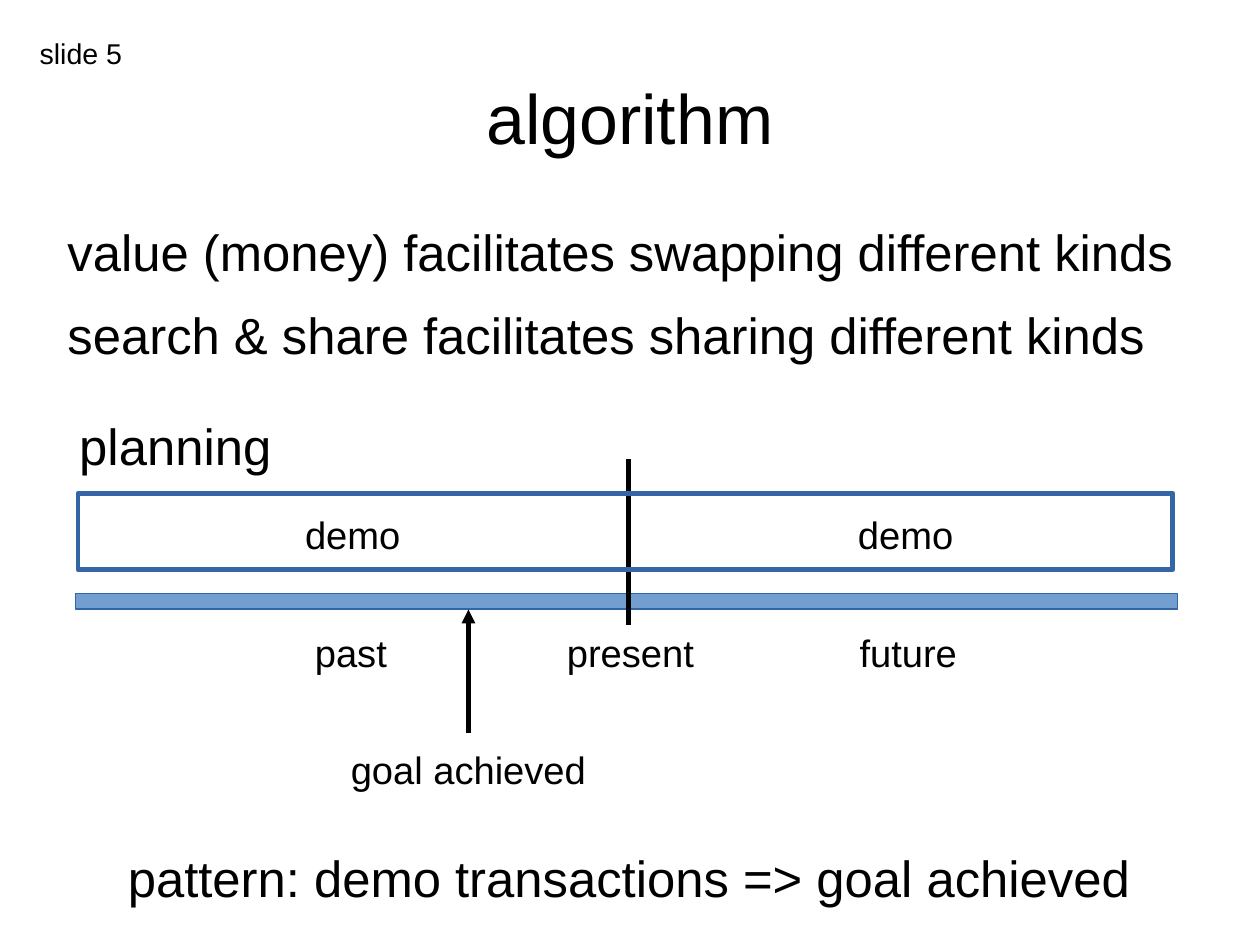
import pptx
import pptx.util
import pptx.dml.color
import pptx.enum.shapes
import pptx.enum.text
import pptx.oxml.ns
import lxml.etree

COLORS = {"text": "000000", "bar": "729FCF", "edge": "3465A4", "page": "FFFFFF"}
FONT = "Arial"

deck = pptx.Presentation()
deck.slide_width = pptx.util.Cm(28)
deck.slide_height = pptx.util.Cm(21)
page = deck.slides.add_slide(deck.slide_layouts[1])

# Grid of 100 columns and 100 rows
column = deck.slide_width / 100
row = deck.slide_height / 100


def grid(left, top, width, height):
    return [round(left * column), round(top * row), round(width * column), round(height * row)]


def style(para, size):
    para.font.name = FONT
    para.font.size = pptx.util.Pt(size)
    para.font.color.rgb = pptx.dml.color.RGBColor.from_string(COLORS["text"])


page.background.fill.solid()
page.background.fill.fore_color.rgb = pptx.dml.color.RGBColor.from_string(COLORS["page"])

# Title and body
title, body = page.placeholders
title.left, title.top, title.width, title.height = grid(5, 4, 90, 16.7)
body.left, body.top, body.width, body.height = grid(1.09, 23.34, 98, 23.82)
title.text_frame.text = "algorithm"
body.text_frame.text = (
    "value (money) facilitates swapping different kinds\n"
    "search & share facilitates sharing different kinds"
)
for holder, anchor in ((title, "MIDDLE"), (body, "TOP")):
    frame = holder.text_frame
    frame.margin_left = frame.margin_right = frame.margin_top = frame.margin_bottom = 0
    frame.vertical_anchor = pptx.enum.text.MSO_ANCHOR[anchor]
    frame.auto_size = pptx.enum.text.MSO_AUTO_SIZE.NONE
    frame.word_wrap = True

heading = title.text_frame.paragraphs[0]
heading.alignment = pptx.enum.text.PP_ALIGN.CENTER
style(heading, 44)

for para in body.text_frame.paragraphs:
    properties = para._p.get_or_add_pPr()
    properties.set("marL", str(pptx.util.Inches(0.47)))
    properties.set("indent", "0")
    lxml.etree.SubElement(properties, pptx.oxml.ns.qn("a:buNone"))
    para.space_before = pptx.util.Pt(0)
    para.space_after = pptx.util.Pt(14.2)
    style(para, 32)

# Time bar, present mark, goal arrow and planning frame, from back to front
PRESENT, GOAL = 49.88, 37.18
timeline = [
    ("bar", (6, 62.76, 87.45, 1.69), 0),
    ("line", (PRESENT, 48.58, PRESENT, 66.1), 2.89),
    ("arrow", (GOAL, 77.6, GOAL, 64.5), 2.89),
    ("frame", (6.2, 52.2, 86.88, 8.1), 2.89),
]
for kind, place, weight in timeline:
    if kind in ("line", "arrow"):
        mark = page.shapes.add_connector(
            pptx.enum.shapes.MSO_CONNECTOR.STRAIGHT, *grid(*place))
        lxml.etree.SubElement(mark._element.spPr, pptx.oxml.ns.qn("a:effectLst"))
        edge = COLORS["text"]
    else:
        mark = page.shapes.add_shape(
            pptx.enum.shapes.MSO_SHAPE.RECTANGLE, *grid(*place))
        mark.shadow.inherit = False
        edge = COLORS["edge"]
        if kind == "bar":
            mark.fill.solid()
            mark.fill.fore_color.rgb = pptx.dml.color.RGBColor.from_string(COLORS["bar"])
        else:
            mark.fill.background()
    mark.line.color.rgb = pptx.dml.color.RGBColor.from_string(edge)
    mark.line.width = pptx.util.Pt(weight)
    if kind == "arrow":
        lxml.etree.SubElement(
            mark.line._get_or_add_ln(), pptx.oxml.ns.qn("a:tailEnd"), type="triangle")

# Labels: text, left column, top row, width, size
HEIGHTS = {18: 4.59, 24: 5.68, 32: 7.26}
DEMO_ROW, TIME_ROW = 53.5, 66.05
labels = [
    ("slide 5", 2.25, 3.2, 8.5, 18),
    ("planning", 5.4, 43.29, 17.2, 32),
    ("demo", 23.32, DEMO_ROW, 9.5, 24),
    ("demo", 67.2, DEMO_ROW, 9.5, 24),
    ("past", 24.1, TIME_ROW, 7.7, 24),
    ("present", 44.1, TIME_ROW, 12.1, 24),
    ("future", 67.33, TIME_ROW, 9.7, 24),
    ("goal achieved", 26.95, 78.4, 20.9, 24),
    ("pattern: demo transactions => goal achieved", 9.25, 89.05, 82, 32),
]
for text, left, top, width, size in labels:
    box = page.shapes.add_textbox(*grid(left, top, width, HEIGHTS[size]))
    box.text_frame.text = text
    box.text_frame.word_wrap = False
    box.text_frame.auto_size = pptx.enum.text.MSO_AUTO_SIZE.SHAPE_TO_FIT_TEXT
    style(box.text_frame.paragraphs[0], size)

deck.save("out.pptx")
